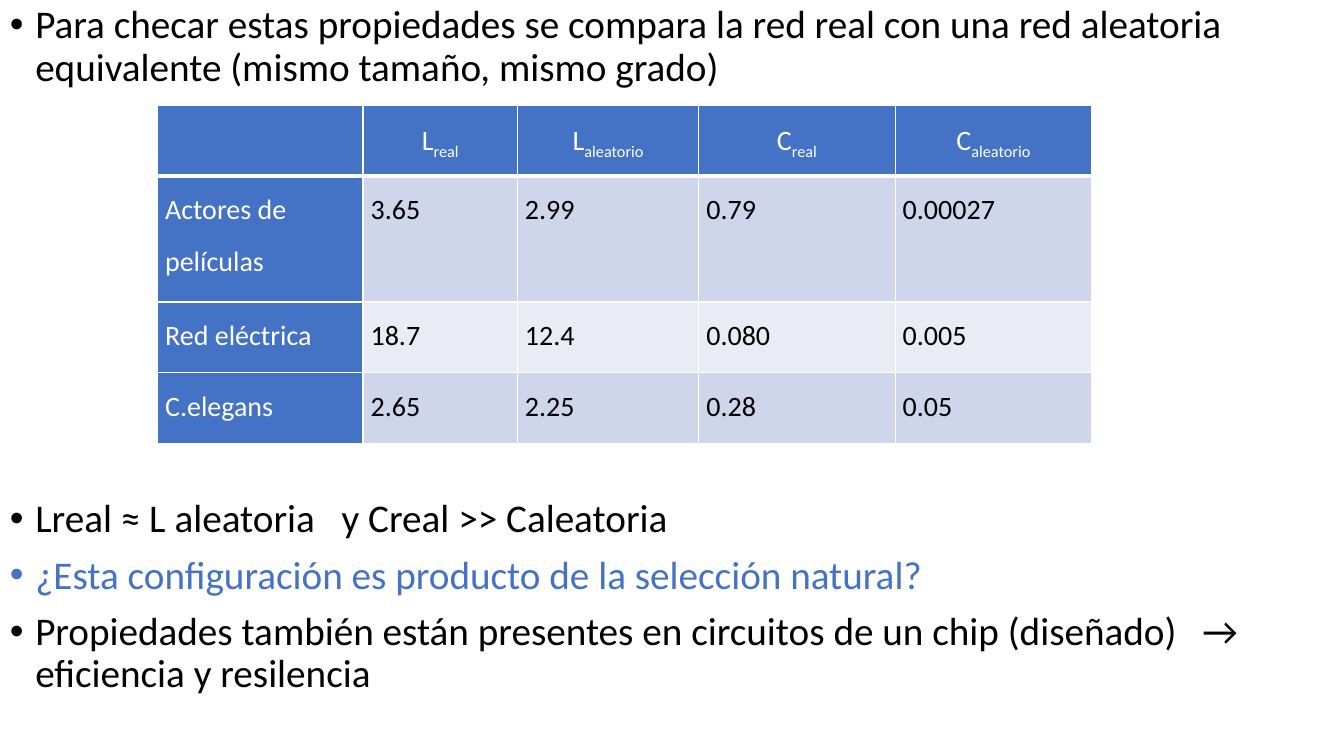
"""Build a slide comparing real networks with equivalent random ones."""
from lxml import etree
from pptx import Presentation
from pptx.dml.color import RGBColor
from pptx.enum.text import PP_ALIGN
from pptx.oxml.ns import qn
from pptx.util import Cm, Pt

CENTER, LEFT = PP_ALIGN.CENTER, PP_ALIGN.LEFT
BLACK = RGBColor(0, 0, 0)
WHITE = RGBColor(255, 255, 255)
BLUE = RGBColor(0x44, 0x72, 0xC4)
BANDS = RGBColor(0xCF, 0xD5, 0xEA), RGBColor(0xE9, 0xEB, 0xF5)
FONT = "Calibri"

INTRO = [("Para checar estas propiedades se compara la red real con una red "
          "aleatoria equivalente (mismo tamaño, mismo grado)", BLACK, None)]
CLOSE = [
    ("Lreal ≈ L aleatoria\ty Creal >> Caleatoria", BLACK, Cm(8.36)),
    ("¿Esta configuración es producto de la selección natural?", BLUE, None),
    ("Propiedades también están presentes en circuitos de un chip (diseñado)"
     "\t→ eficiencia y resilencia", BLACK, Cm(30.05)),
]
HEADS = [("L", "real"), ("L", "aleatorio"), ("C", "real"), ("C", "aleatorio")]
ROWS = [
    ("Actores de películas", "3.65", "2.99", "0.79", "0.00027"),
    ("Red eléctrica", "18.7", "12.4", "0.080", "0.005"),
    ("C.elegans", "2.65", "2.25", "0.28", "0.05"),
]
WIDTHS = [5.18, 3.89, 4.57, 4.95, 4.95]
HEIGHTS = [1.78, 3.18, 1.78, 1.78]


def style(run, size, color):
    """Set the font of a run."""
    font = run.font
    font.name, font.size, font.bold = FONT, Pt(size), False
    font.color.rgb = color


def add_mark(para, tab):
    """Give a paragraph a hanging bullet and, if wanted, a tab stop."""
    props = para._p.get_or_add_pPr()
    props.set("marL", str(Cm(0.64)))
    props.set("indent", str(-Cm(0.64)))
    etree.SubElement(props, qn("a:buFont"), typeface="Arial")
    etree.SubElement(props, qn("a:buChar"), char="•")
    if tab:
        stops = etree.SubElement(props, qn("a:tabLst"))
        etree.SubElement(stops, qn("a:tab"), pos=str(tab), algn="l")


def add_list(slide, top, height, items):
    """Add a full-width bulleted text box."""
    box = slide.shapes.add_textbox(Cm(0), top, Cm(33.87), height)
    frame = box.text_frame
    frame.word_wrap = True
    for i, (text, color, tab) in enumerate(items):
        para = frame.add_paragraph() if i else frame.paragraphs[0]
        para.text = text
        add_mark(para, tab)
        para.line_spacing = 0.9
        if i:
            para.space_before = Pt(10)
        for run in para.runs:
            style(run, 28, color)


def add_edges(cell, base):
    """Draw white borders round a cell, the lower one of given width."""
    props = cell._tc.get_or_add_tcPr()
    for side, width in zip("LRTB", (1, 1, 1, base)):
        line = etree.SubElement(props, qn("a:ln" + side), w=str(Pt(width)))
        fill = etree.SubElement(line, qn("a:solidFill"))
        etree.SubElement(fill, qn("a:srgbClr"), val=str(WHITE))


def fill_cell(cell, text, sub, fill, color, align, base):
    """Write and format one cell, with an optional subscript."""
    add_edges(cell, base)
    cell.fill.solid()
    cell.fill.fore_color.rgb = fill
    cell.margin_left = cell.margin_right = Cm(0.19)
    cell.margin_top = cell.margin_bottom = Cm(0)
    para = cell.text_frame.paragraphs[0]
    para.text = text
    para.alignment = align
    para.line_spacing = 1.5
    if sub:
        low = para.add_run()
        low.text = sub
        low.font._element.set("baseline", "-25000")
    for run in para.runs:
        style(run, 20, color)


def add_grid(slide):
    """Add the table of path lengths and clustering values."""
    grid = slide.shapes.add_table(
        len(HEIGHTS), len(WIDTHS), Cm(3.97), Cm(2.65),
        Cm(sum(WIDTHS)), Cm(sum(HEIGHTS))).table
    grid.first_col = True
    for col, width in zip(grid.columns, WIDTHS):
        col.width = Cm(width)
    for row, height in zip(grid.rows, HEIGHTS):
        row.height = Cm(height)
    for c, (text, sub) in enumerate([("", "")] + HEADS):
        fill_cell(grid.cell(0, c), text, sub, BLUE, WHITE, CENTER, 3)
    for r, row in enumerate(ROWS):
        for c, text in enumerate(row):
            fill, color = (BANDS[r % 2], BLACK) if c else (BLUE, WHITE)
            fill_cell(grid.cell(r + 1, c), text, "", fill, color, LEFT, 1)


def main():
    """Build and save the slide."""
    deck = Presentation()
    deck.slide_width, deck.slide_height = Cm(33.87), Cm(19.05)
    slide = deck.slides.add_slide(deck.slide_layouts[6])
    add_list(slide, Cm(0), Cm(2.5), INTRO)
    add_list(slide, Cm(12.45), Cm(6.07), CLOSE)
    add_grid(slide)
    deck.save("out.pptx")


if __name__ == "__main__":
    main()
